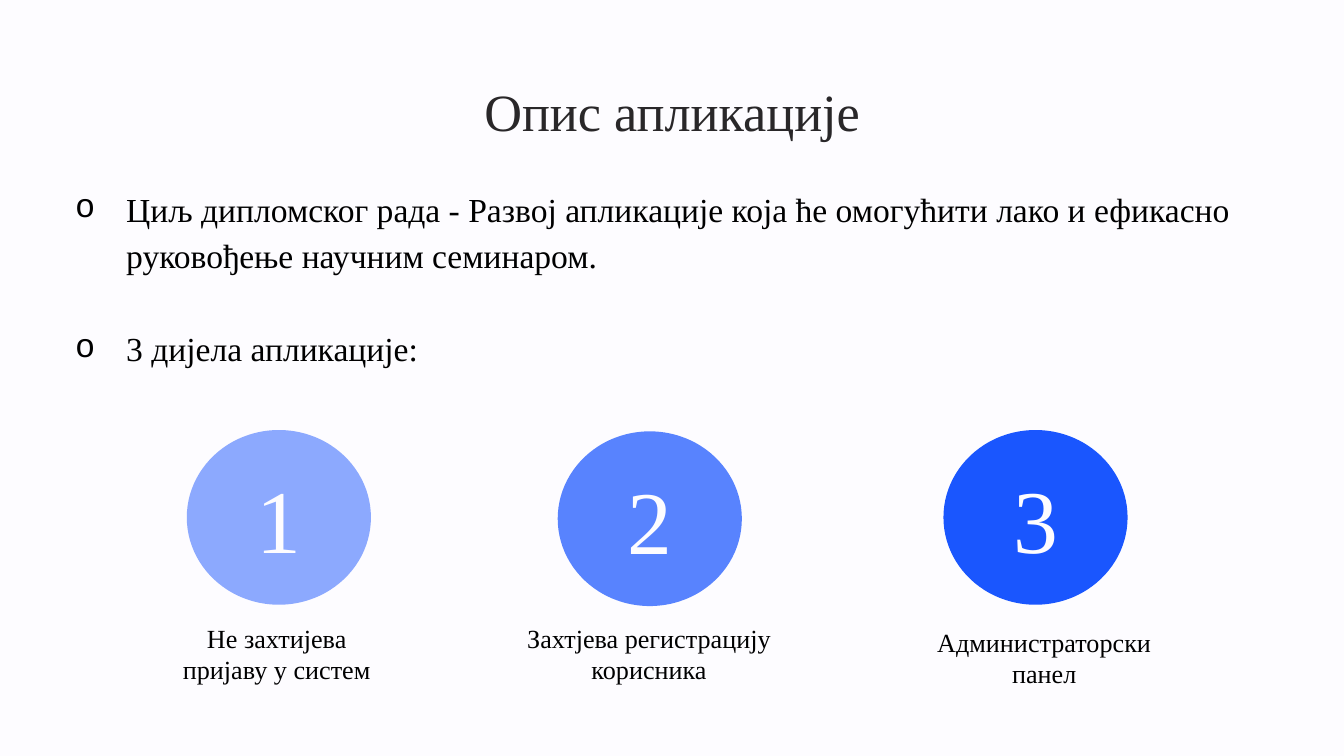
from dataclasses import dataclass

import lxml.etree
import pptx
import pptx.dml.color
import pptx.enum.shapes
import pptx.enum.text
import pptx.oxml.ns
import pptx.util
from pptx.util import Inches, Pt

FONT = "Times New Roman"
COLORS = {
    "background": "FDFCFF",
    "title": "292729",
    "text": "000000",
    "light": "8CA9FE",
    "medium": "5883FE",
    "strong": "1A56FE",
}
CIRCLE_SIZE = (1.37, 1.3)
BULLET_SPACING = 1.15
BULLETS = [
    "Циљ дипломског рада - Развој апликације која ће омогућити лако и ефикасно "
    "руковођење научним семинаром.",
    "3 дијела апликације:",
]


@dataclass
class Part:
    number: str
    color: str
    circle_at: tuple[float, float]
    label: str
    label_at: tuple[float, float]
    label_width: float


PARTS = [
    Part("1", "light", (1.39, 3.2), "Не захтијева пријаву у систем", (1.13, 4.58), 1.86),
    Part("2", "medium", (4.15, 3.21), "Захтјева регистрацију корисника", (3.76, 4.58), 2.14),
    Part("3", "strong", (7.02, 3.2), "Администраторски панел", (6.87, 4.61), 1.8),
]


def rgb(name: str) -> pptx.dml.color.RGBColor:
    return pptx.dml.color.RGBColor.from_string(COLORS[name])


def style(paragraph, size: int, color: str, centered: bool = True) -> None:
    align = pptx.enum.text.PP_ALIGN
    paragraph.alignment = align.CENTER if centered else align.LEFT
    paragraph.font.name = FONT
    paragraph.font.size = Pt(size)
    paragraph.font.color.rgb = rgb(color)


def add_text_box(slide, left: float, top: float, width: float, height: float):
    box = slide.shapes.add_textbox(Inches(left), Inches(top), Inches(width), Inches(height))
    box.text_frame.word_wrap = True
    return box.text_frame


def set_margins(frame, margin: float) -> None:
    frame.margin_left = frame.margin_right = Inches(margin)
    frame.margin_top = frame.margin_bottom = Inches(margin)


def add_bullet(paragraph) -> None:
    """Give the paragraph a hanging round bullet."""
    properties = paragraph._p.get_or_add_pPr()
    properties.set("marL", str(Inches(0.5)))
    properties.set("indent", str(Inches(-0.38)))
    font = lxml.etree.SubElement(properties, pptx.oxml.ns.qn("a:buFont"))
    font.set("typeface", "Courier New")
    bullet = lxml.etree.SubElement(properties, pptx.oxml.ns.qn("a:buChar"))
    bullet.set("char", "o")


def add_title(slide) -> None:
    frame = add_text_box(slide, 0.34, 0.49, 9.32, 0.63)
    set_margins(frame, 0.1)
    frame.text = "Опис апликације"
    style(frame.paragraphs[0], 28, "title")


def add_bullets(slide) -> None:
    frame = add_text_box(slide, 0.34, 1.26, 9.32, 3.74)
    set_margins(frame, 0.1)
    for index, text in enumerate(BULLETS):
        paragraph = frame.add_paragraph() if index else frame.paragraphs[0]
        paragraph.text = text
        add_bullet(paragraph)
        style(paragraph, 18, "text", centered=False)
        paragraph.line_spacing = BULLET_SPACING
        if index:
            paragraph.space_before = Pt(25)


def add_part(slide, part: Part) -> None:
    left, top = part.circle_at
    width, height = CIRCLE_SIZE
    circle = slide.shapes.add_shape(
        pptx.enum.shapes.MSO_SHAPE.OVAL,
        Inches(left), Inches(top), Inches(width), Inches(height),
    )
    circle.shadow.inherit = False
    circle.fill.solid()
    circle.fill.fore_color.rgb = rgb(part.color)
    circle.line.fill.background()
    frame = circle.text_frame
    set_margins(frame, 0.1)
    frame.vertical_anchor = pptx.enum.text.MSO_ANCHOR.MIDDLE
    frame.text = part.number
    style(frame.paragraphs[0], 48, "background")

    label = add_text_box(slide, *part.label_at, part.label_width, 0.57)
    label.text = part.label
    style(label.paragraphs[0], 14, "text")


def main() -> None:
    presentation = pptx.Presentation()
    presentation.slide_width = Inches(10)
    presentation.slide_height = Inches(10 * 9 / 16)
    slide = presentation.slides.add_slide(presentation.slide_layouts[6])
    slide.background.fill.solid()
    slide.background.fill.fore_color.rgb = rgb("background")
    add_title(slide)
    add_bullets(slide)
    for part in PARTS:
        add_part(slide, part)
    presentation.save("out.pptx")


if __name__ == "__main__":
    main()
